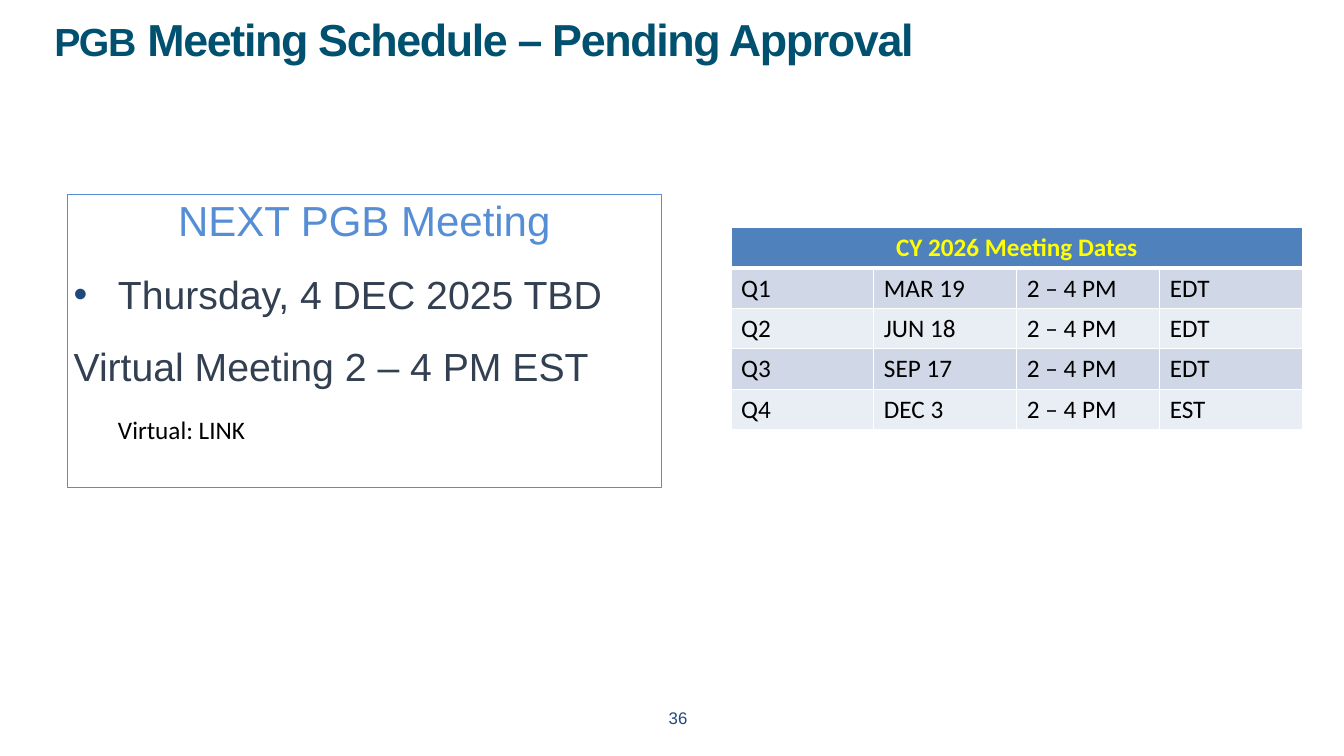
"""Build the PGB meeting schedule slide."""
from dataclasses import dataclass
from typing import Optional

from lxml import etree
from pptx import Presentation
from pptx.dml.color import RGBColor
from pptx.enum.shapes import MSO_SHAPE
from pptx.enum.text import MSO_ANCHOR, MSO_AUTO_SIZE, PP_ALIGN
from pptx.oxml.ns import qn
from pptx.util import Inches, Pt

RECT = MSO_SHAPE.RECTANGLE
TOP = MSO_ANCHOR.TOP
GROW = MSO_AUTO_SIZE.SHAPE_TO_FIT_TEXT
LEFT, CENTER = PP_ALIGN.LEFT, PP_ALIGN.CENTER

COLORS = {
    "title": "005170", "accent": "558ED5", "body": "334052", "navy": "1F497D",
    "black": "000000", "white": "FFFFFF", "header": "4F81BD",
    "header_text": "FFFF00", "band_dark": "D0D8E8", "band_light": "E9EDF4",
}


@dataclass
class Style:
    size: float
    color: str
    font: str = "Arial"
    bold: bool = False
    spacing: int = 0


@dataclass
class Line:
    text: str
    style: Style
    align: PP_ALIGN = LEFT
    margin: float = 0
    indent: float = 0
    level: int = 0
    bullet: Optional[str] = None


TITLE = [
    ("PGB", Style(28, "title", bold=True, spacing=-100)),
    (" Meeting Schedule – Pending Approval", Style(32, "title", bold=True, spacing=-100)),
]
DETAIL = Style(28, "body")
NEXT_MEETING = [
    Line("NEXT PGB Meeting", Style(30, "accent"), CENTER),
    Line("Thursday, 4 DEC 2025 TBD", DETAIL, margin=0.5, indent=-0.44, bullet="•"),
    Line("Virtual Meeting 2 – 4 PM EST", DETAIL, margin=0.5, indent=-0.44),
    Line("Virtual: LINK", Style(18, "black", "Calibri"), margin=0.94, indent=-0.44, level=1),
]
HEADER = "CY 2026 Meeting Dates"
HOURS = "2 – 4 PM"
DATES = [("MAR 19", "EDT"), ("JUN 18", "EDT"), ("SEP 17", "EDT"), ("DEC 3", "EST")]
COLUMNS = 4


def rgb(name: str) -> RGBColor:
    return RGBColor.from_string(COLORS[name])


def add_run(p, text: str, style: Style) -> None:
    r = p.add_run()
    r.text = text
    r.font.name = style.font
    r.font.size = Pt(style.size)
    r.font.bold = style.bold
    r.font.color.rgb = rgb(style.color)
    if style.spacing:
        r.font._element.set("spc", str(style.spacing))


def add_color(parent, tag: str, color: str) -> None:
    fill = etree.SubElement(parent, qn(tag))
    etree.SubElement(fill, qn("a:srgbClr")).set("val", COLORS[color])


def add_textbox(s, left: float, top: float, width: float, height: float):
    tf = s.shapes.add_textbox(Inches(left), Inches(top), Inches(width), Inches(height)).text_frame
    tf.word_wrap = True
    return tf


def add_line(p, line: Line) -> None:
    p.alignment = line.align
    p.level = line.level
    p.space_before, p.space_after = Pt(6), Pt(12)
    pPr = p._p.get_or_add_pPr()
    pPr.set("marL", str(Inches(line.margin)))
    pPr.set("indent", str(Inches(line.indent)))
    if line.bullet:
        buClr = etree.SubElement(pPr, qn("a:buClr"))
        etree.SubElement(buClr, qn("a:srgbClr")).set("val", COLORS["navy"])
        etree.SubElement(pPr, qn("a:buFont")).set("typeface", "Arial")
        etree.SubElement(pPr, qn("a:buChar")).set("char", line.bullet)
    else:
        etree.SubElement(pPr, qn("a:buNone"))
    add_run(p, line.text, line.style)


def add_next_meeting(s) -> None:
    sp = s.shapes.add_shape(RECT, Inches(0.67), Inches(1.93), Inches(5.89), Inches(2.91))
    sp.shadow.inherit = False
    sp.fill.background()
    sp.line.color.rgb = rgb("accent")
    sp.line.width = Pt(0.75)
    tf = sp.text_frame
    tf.word_wrap = True
    tf.vertical_anchor = TOP
    tf.margin_left = tf.margin_top = tf.margin_right = tf.margin_bottom = 0
    for i, line in enumerate(NEXT_MEETING):
        add_line(tf.add_paragraph() if i else tf.paragraphs[0], line)


def fill_cell(cell, text: str, style: Style, fill: str, align: PP_ALIGN, bottom: float) -> None:
    p = cell.text_frame.paragraphs[0]
    p.alignment = align
    if text:
        add_run(p, text, style)
    tcPr = cell._tc.get_or_add_tcPr()
    for tag, width in (("a:lnL", 1), ("a:lnR", 1), ("a:lnT", 1), ("a:lnB", bottom)):
        ln = etree.SubElement(tcPr, qn(tag))
        ln.set("w", str(Pt(width)))
        add_color(ln, "a:solidFill", "white")
    cell.fill.solid()
    cell.fill.fore_color.rgb = rgb(fill)


def add_schedule(s) -> None:
    rows = len(DATES) + 1
    table = s.shapes.add_table(rows, COLUMNS, Inches(7.25), Inches(2.26),
                               Inches(5.67), Inches(0.4 * rows)).table
    table.cell(0, 0).merge(table.cell(0, COLUMNS - 1))
    header = Style(18, "header_text", "Calibri", bold=True)
    for c in range(COLUMNS):
        fill_cell(table.cell(0, c), "" if c else HEADER, header, "header", CENTER, 3)
    entry = Style(18, "black", "Calibri")
    for i, (date, zone) in enumerate(DATES, 1):
        band = "band_dark" if i % 2 else "band_light"
        for c, text in enumerate((f"Q{i}", date, HOURS, zone)):
            fill_cell(table.cell(i, c), text, entry, band, LEFT, 1)


def main() -> None:
    prs = Presentation()
    prs.slide_width, prs.slide_height = Inches(13.33), Inches(7.5)
    s = prs.slides.add_slide(prs.slide_layouts[6])

    p = add_textbox(s, 0.44, 0.07, 11.93, 1.06).paragraphs[0]
    for text, style in TITLE:
        add_run(p, text, style)

    add_next_meeting(s)

    tf = add_textbox(s, 5.17, 6.97, 3.11, 0.4)
    tf.auto_size = GROW
    p = tf.paragraphs[0]
    p.alignment = CENTER
    add_run(p, "36", Style(12, "navy"))

    add_schedule(s)
    prs.save("out.pptx")


if __name__ == "__main__":
    main()
